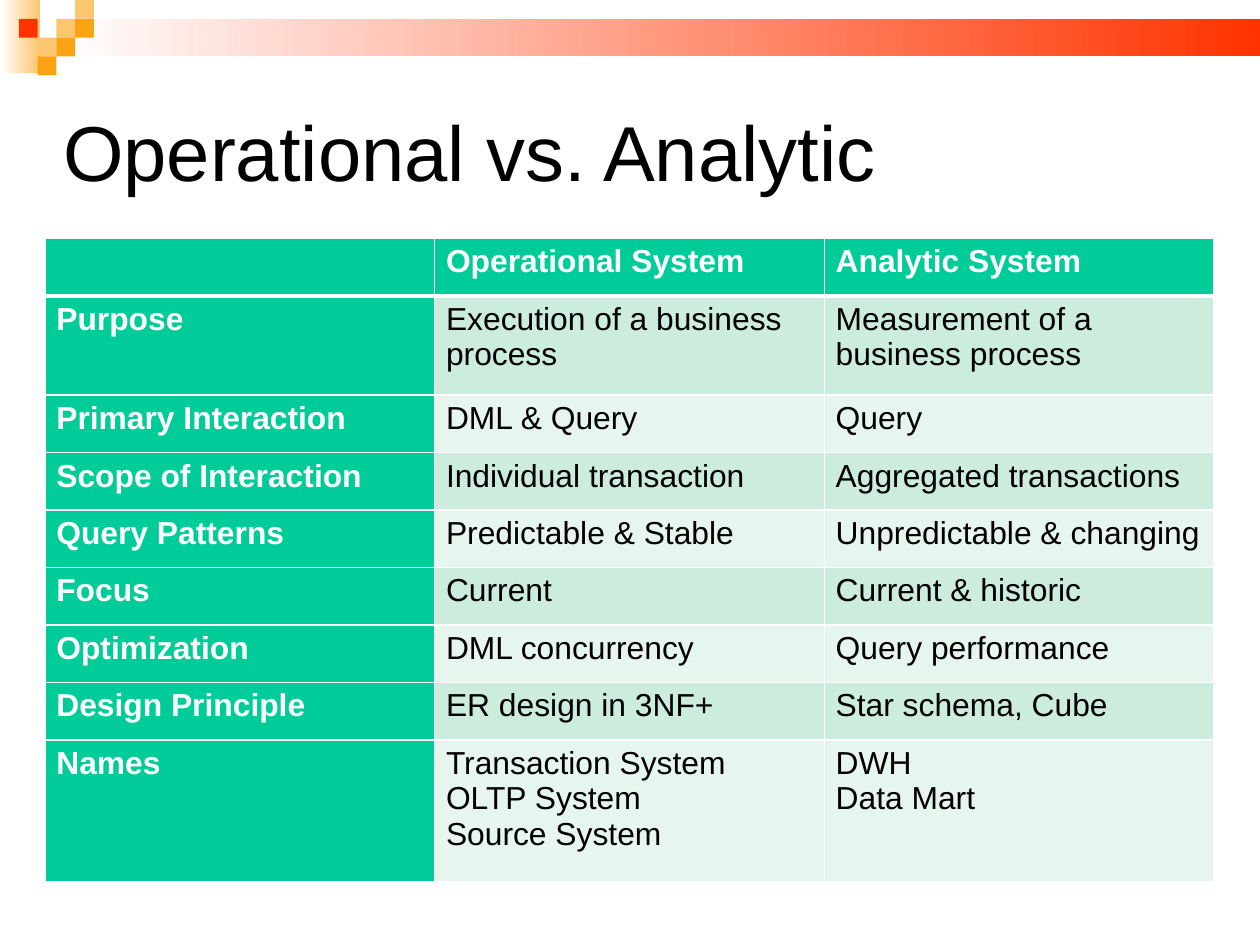
from pptx import Presentation
from pptx import util as u
from pptx.dml.color import RGBColor
from pptx.enum import shapes, text
from pptx.oxml import parse_xml
from pptx.oxml.ns import nsdecls

# Content
TITLE = "Operational vs. Analytic"
COMPARISON = [
    ("", "Operational System", "Analytic System"),
    ("Purpose", "Execution of a business process", "Measurement of a business process"),
    ("Primary Interaction", "DML & Query", "Query"),
    ("Scope of Interaction", "Individual transaction", "Aggregated transactions"),
    ("Query Patterns", "Predictable & Stable", "Unpredictable & changing"),
    ("Focus", "Current", "Current & historic"),
    ("Optimization", "DML concurrency", "Query performance"),
    ("Design Principle", "ER design in 3NF+", "Star schema, Cube"),
    ("Names", "Transaction System\nOLTP System\nSource System", "DWH\nData Mart"),
]
# Corner mosaic: column, row, theme colour
MOSAIC = [(3, 1, "amber"), (4, 0, "amber"), (4, 1, "orange"), (2, 2, "amber"),
          (1, 1, "red"), (3, 2, "orange"), (2, 3, "orange")]
# Fading bars: left, top, width, height, theme colour
FADES = [(0, 0, 25, 46, "amber"), (35.75, 11.8, 758, 23.6, "red")]

THEME = {
    "font": "Arial", "title_size": 49, "table_size": 20,
    "white": "FFFFFF", "black": "000000",
    "red": "FF3300", "orange": "FBA313", "amber": "FCC66E",
    "green": "00CC99", "bands": ("CCECDD", "E7F5EF"),
    "thin": 0.96, "thick": 3,
}

# Layout, in points
SLIDE_WIDTH, SLIDE_HEIGHT = 793.75, 595.25
TILE = 11.85
TITLE_BOX = (39.8, 39.6, 714.2, 118.8)
TABLE_LEFT, TABLE_TOP, COLUMN_WIDTH = 28.3, 150.1, 245.5
ROW_HEIGHT, TALL_ROWS = 36.2, {1: 62.6, 8: 89.3}
ZERO_MARGINS = dict.fromkeys(
    ("margin_left", "margin_right", "margin_top", "margin_bottom"), 0)


def rgb(value):
    return RGBColor.from_string(value)


def points(*values):
    return [u.Pt(value) for value in values]


def apply(target, values):
    for name, value in values.items():
        setattr(target, name, value)


def style(paragraph, size, color, bold=False):
    apply(paragraph.font, {"name": THEME["font"], "size": u.Pt(size), "bold": bold})
    paragraph.font.color.rgb = rgb(color)


def add_bar(left, top, width, height):
    bar = slide.shapes.add_shape(shapes.MSO_SHAPE.RECTANGLE,
                                 *points(left, top, width, height))
    bar.shadow.inherit = False
    bar.line.fill.background()
    return bar


def add_borders(cell, widths):
    for side, width in widths.items():
        cell._tc.get_or_add_tcPr().append(parse_xml(
            f'<a:ln{side} {nsdecls("a")} w="{u.Pt(width)}"><a:solidFill>'
            f'<a:srgbClr val="{THEME["white"]}"/></a:solidFill></a:ln{side}>'))


deck = Presentation()
deck.slide_width = u.Pt(SLIDE_WIDTH)
deck.slide_height = u.Pt(SLIDE_HEIGHT)
slide = deck.slides.add_slide(deck.slide_layouts[6])

# Fading bars and mosaic
for *box, color in FADES:
    fade = add_bar(*box).fill
    fade.gradient()
    fade.gradient_angle = 0
    for stop, shade in zip(fade.gradient_stops, ("white", color)):
        stop.color.rgb = rgb(THEME[shade])
for column, row, color in MOSAIC:
    tile = add_bar(column * TILE, row * TILE, TILE, TILE)
    tile.fill.solid()
    tile.fill.fore_color.rgb = rgb(THEME[color])

# Title
title = slide.shapes.add_textbox(*points(*TITLE_BOX)).text_frame
apply(title, {**ZERO_MARGINS, "word_wrap": True, "text": TITLE,
              "vertical_anchor": text.MSO_ANCHOR.MIDDLE})
title.paragraphs[0].line_spacing = 0.87
style(title.paragraphs[0], THEME["title_size"], THEME["black"])

# Comparison table
heights = [TALL_ROWS.get(row, ROW_HEIGHT) for row in range(len(COMPARISON))]
columns = len(COMPARISON[0])
comparison = slide.shapes.add_table(
    len(COMPARISON), columns,
    *points(TABLE_LEFT, TABLE_TOP, columns * COLUMN_WIDTH, sum(heights))).table
for column in comparison.columns:
    column.width = u.Pt(COLUMN_WIDTH)
for row, (height, entries) in enumerate(zip(heights, COMPARISON)):
    comparison.rows[row].height = u.Pt(height)
    for column, entry in enumerate(entries):
        cell = comparison.cell(row, column)
        heading = row == 0 or column == 0
        add_borders(cell, {
            "L": THEME["thin"], "R": THEME["thin"], "T": THEME["thin"],
            "B": THEME["thick" if row == 0 else "thin"]})
        cell.fill.solid()
        cell.fill.fore_color.rgb = rgb(
            THEME["green"] if heading else THEME["bands"][(row - 1) % 2])
        cell.text = entry
        for paragraph in cell.text_frame.paragraphs:
            style(paragraph, THEME["table_size"],
                  THEME["white" if heading else "black"], heading)

deck.save("out.pptx")
